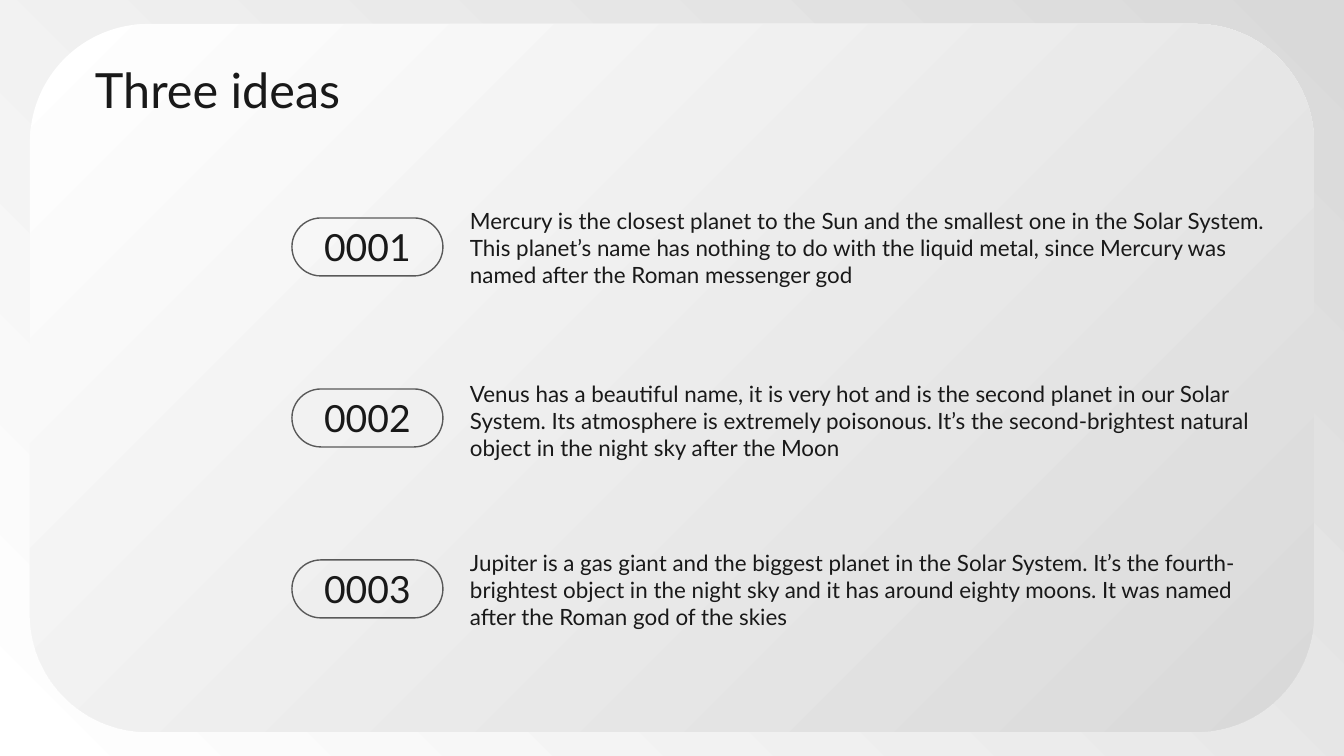
from dataclasses import dataclass

from pptx import Presentation
from pptx.dml.color import RGBColor
from pptx.enum.shapes import MSO_SHAPE
from pptx.enum.text import MSO_ANCHOR, PP_ALIGN
from pptx.util import Emu, Pt

EMU_PER_PX = 914400 / 134.4


@dataclass(frozen=True)
class Theme:
    """Colours, font and type sizes of the slide."""
    light: RGBColor = RGBColor(0xFF, 0xFF, 0xFF)
    shade: RGBColor = RGBColor(0xD9, 0xD9, 0xD9)
    ink: RGBColor = RGBColor(0x19, 0x19, 0x19)
    outline: RGBColor = RGBColor(0x59, 0x59, 0x59)
    outline_width: Pt = Pt(0.75)
    font: str = "Lato"
    title: Pt = Pt(26)
    number: Pt = Pt(20)
    body: Pt = Pt(12)


THEME = Theme()

IDEAS = [
    (194, 149, "Mercury is the closest planet to the Sun and the smallest one in the "
     "Solar System. This planet’s name has nothing to do with the liquid metal, "
     "since Mercury was named after the Roman messenger god"),
    (367, 145, "Venus has a beautiful name, it is very hot and is the second planet "
     "in our Solar System. Its atmosphere is extremely poisonous. It’s the "
     "second-brightest natural object in the night sky after the Moon"),
    (536, 145, "Jupiter is a gas giant and the biggest planet in the Solar System. "
     "It’s the fourth-brightest object in the night sky and it has around eighty "
     "moons. It was named after the Roman god of the skies"),
]
BADGE_TOP, BADGE_STEP = 218, 171


def px(length):
    """Turn a length in px into EMU."""
    return Emu(round(length * EMU_PER_PX))


def apply(target, formats):
    """Set every attribute named in formats on target."""
    for attribute, value in formats.items():
        setattr(target, attribute, value)


def shade(fill, angle):
    """Fill with the light-to-shade gradient at a counter-clockwise angle."""
    fill.gradient()
    fill.gradient_angle = angle
    for stop, colour in zip(fill.gradient_stops, (THEME.light, THEME.shade)):
        stop.color.rgb = colour


def write(holder, text, size, anchor=MSO_ANCHOR.TOP, alignment=PP_ALIGN.LEFT):
    """Write one styled paragraph into a shape or text box."""
    inset = px(13)
    frame = holder.text_frame
    apply(frame, {"word_wrap": True, "vertical_anchor": anchor,
                  "margin_left": inset, "margin_right": inset,
                  "margin_top": inset, "margin_bottom": inset})
    paragraph = frame.paragraphs[0]
    paragraph.alignment = alignment
    run = paragraph.add_run()
    run.text = text
    apply(run.font, {"name": THEME.font, "size": size})
    run.font.color.rgb = THEME.ink


def add_rounded(slide, box, roundness):
    """Add a rounded rectangle without a shadow."""
    rounded = slide.shapes.add_shape(MSO_SHAPE.ROUNDED_RECTANGLE, *map(px, box))
    rounded.adjustments[0] = roundness
    rounded.shadow.inherit = False
    return rounded


def add_panel(slide, box):
    """Add the large shaded panel behind the content."""
    panel = add_rounded(slide, box, 0.167)
    shade(panel.fill, 315)
    panel.line.fill.background()


def add_badge(slide, box, number):
    """Add an outlined pill that holds an idea's number."""
    badge = add_rounded(slide, box, 0.5)
    badge.fill.background()
    badge.line.color.rgb = THEME.outline
    badge.line.width = THEME.outline_width
    write(badge, f"{number:04d}", THEME.number, MSO_ANCHOR.MIDDLE, PP_ALIGN.CENTER)


def add_text(slide, box, text, size):
    """Add a text box."""
    write(slide.shapes.add_textbox(*map(px, box)), text, size)


def main():
    """Build the slide and save it."""
    presentation = Presentation()
    apply(presentation, {"slide_width": px(1344), "slide_height": px(756)})
    slide = presentation.slides.add_slide(presentation.slide_layouts[6])
    shade(slide.background.fill, 45)
    add_panel(slide, (30, 24, 1284, 708))
    add_text(slide, (82, 47, 1226, 85), "Three ideas", THEME.title)
    for index, (top, height, description) in enumerate(IDEAS):
        add_text(slide, (457, top, 839, height), description, THEME.body)
        badge_top = BADGE_TOP + index * BADGE_STEP
        add_badge(slide, (292, badge_top, 151, 58), index + 1)
    presentation.save("out.pptx")


if __name__ == "__main__":
    main()
